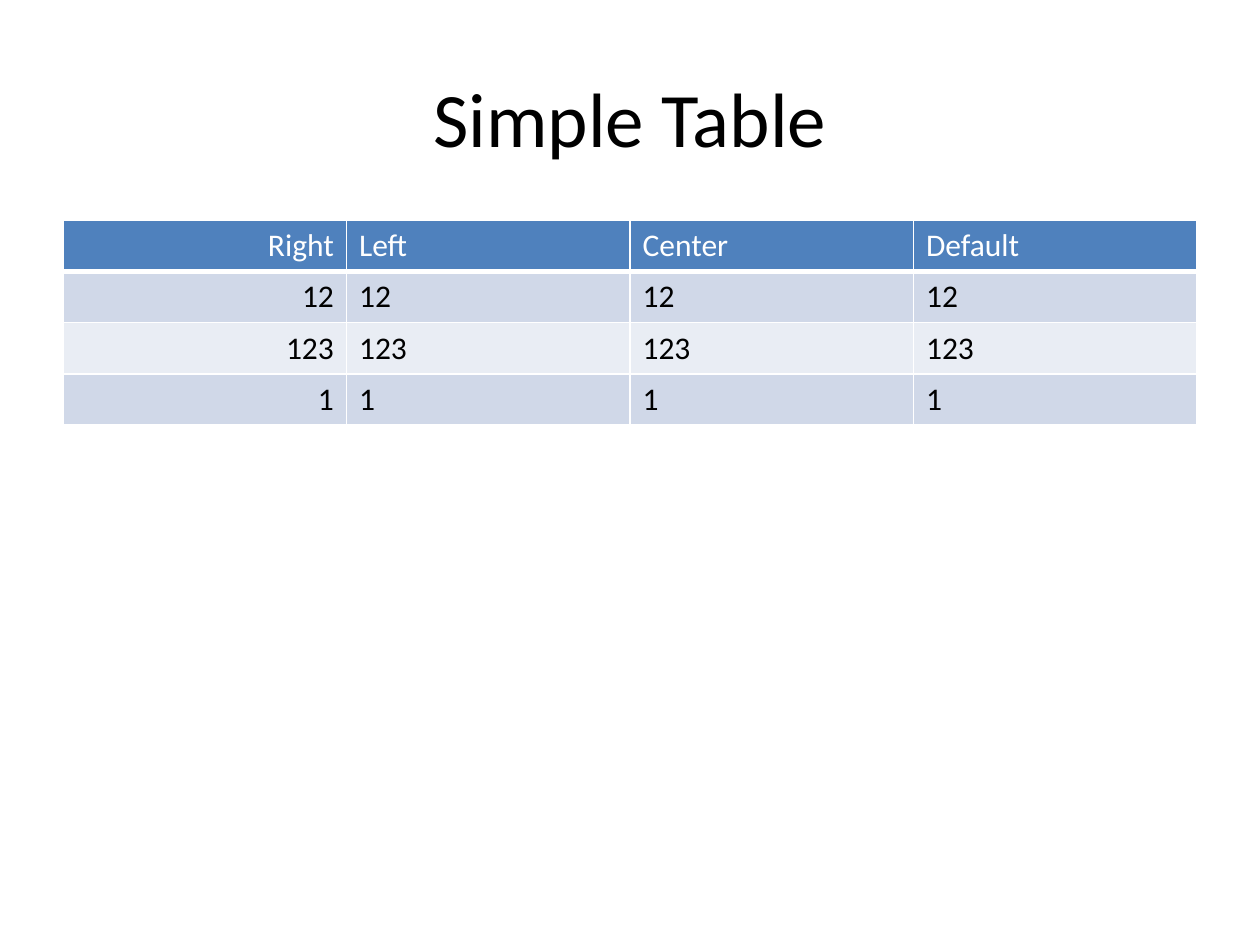
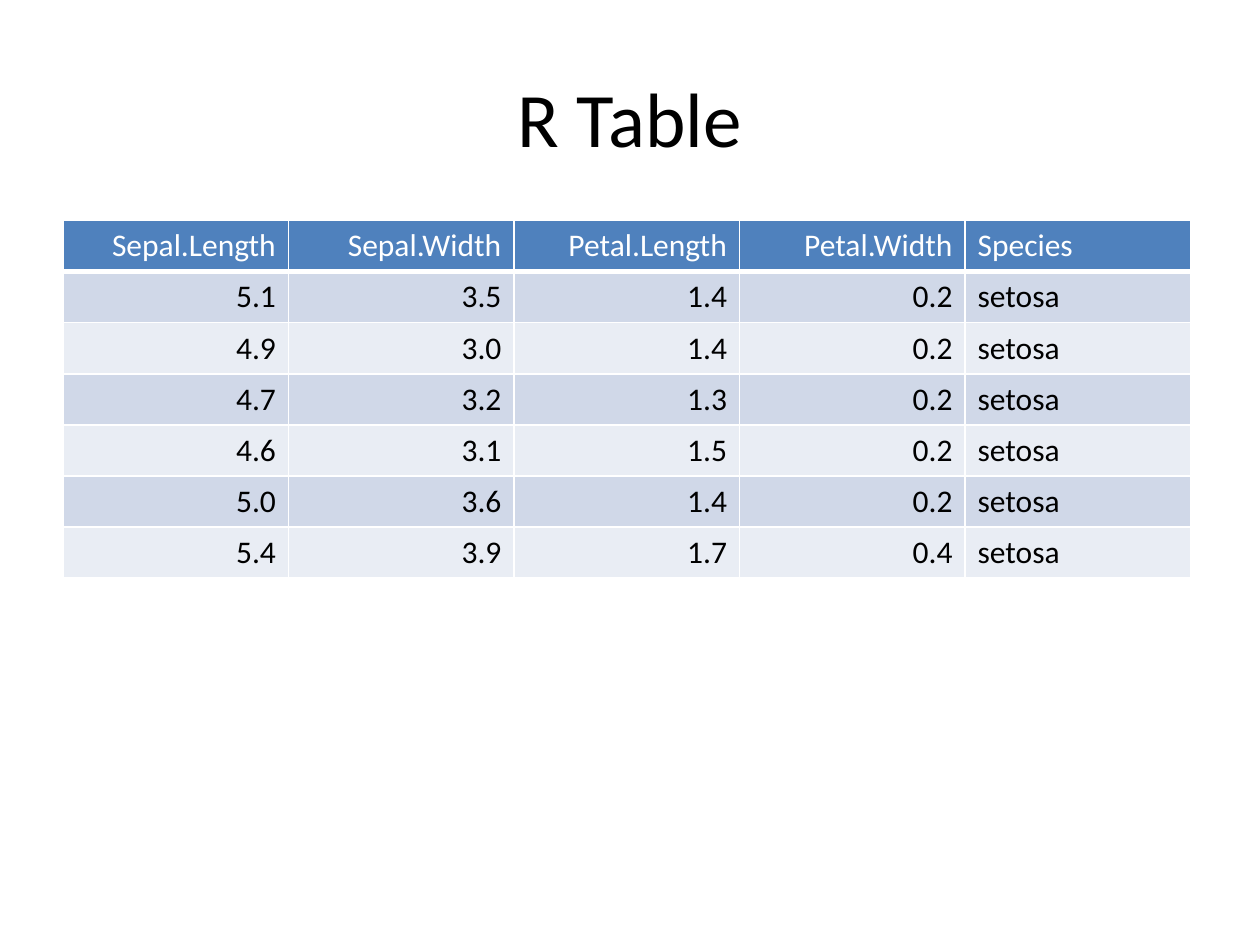
from lxml.etree import SubElement
from pptx import Presentation
from pptx.dml.color import RGBColor
from pptx.enum.text import MSO_ANCHOR, PP_ALIGN
from pptx.oxml.ns import qn
from pptx.util import Inches, Pt

FONT = "Calibri"
BLACK = "000000"
WHITE = "FFFFFF"
HEADER_BLUE = "4F81BD"
BANDS = ("D0D8E8", "E9EDF4")
TITLE_ONLY = 5
ROW_HEIGHT = 0.4

SIMPLE_ROWS = [
    ("Right", "Left", "Center", "Default"),
    ("12",) * 4,
    ("123",) * 4,
    ("1",) * 4,
]
IRIS_ROWS = [
    ("Sepal.Length", "Sepal.Width", "Petal.Length", "Petal.Width", "Species"),
    ("5.1", "3.5", "1.4", "0.2", "setosa"),
    ("4.9", "3.0", "1.4", "0.2", "setosa"),
    ("4.7", "3.2", "1.3", "0.2", "setosa"),
    ("4.6", "3.1", "1.5", "0.2", "setosa"),
    ("5.0", "3.6", "1.4", "0.2", "setosa"),
    ("5.4", "3.9", "1.7", "0.4", "setosa"),
]


def color(value):
    return RGBColor.from_string(value)


def write(frame, text, size=18, ink=BLACK, align=PP_ALIGN.LEFT):
    paragraph = frame.paragraphs[0]
    paragraph.alignment = align
    run = paragraph.add_run()
    run.text = text
    run.font.name = FONT
    run.font.size = Pt(size)
    run.font.bold = False
    run.font.color.rgb = color(ink)


def set_borders(cell, bottom_width):
    properties = cell._tc.get_or_add_tcPr()
    widths = {"a:lnL": 1, "a:lnR": 1, "a:lnT": 1, "a:lnB": bottom_width}
    for position, (side, width) in enumerate(widths.items()):
        border = SubElement(properties, qn(side), w=str(Pt(width)))
        fill = SubElement(border, qn("a:solidFill"))
        SubElement(fill, qn("a:srgbClr"), val=WHITE)
        properties.insert(position, border)


def add_titled_slide(deck, heading):
    slide = deck.slides.add_slide(deck.slide_layouts[TITLE_ONLY])
    title = slide.shapes.title
    title.left, title.top = Inches(0.5), Inches(0.3)
    title.width, title.height = Inches(9), Inches(1.25)
    title.text_frame.vertical_anchor = MSO_ANCHOR.MIDDLE
    write(title.text_frame, heading, size=44, align=PP_ALIGN.CENTER)
    return slide


def add_data_table(slide, rows, column_width, right_columns):
    column_count = len(rows[0])
    table = slide.shapes.add_table(
        len(rows), column_count, Inches(0.5), Inches(1.75),
        Inches(column_width * column_count), Inches(ROW_HEIGHT * len(rows)),
    ).table
    for column in table.columns:
        column.width = Inches(column_width)
    for row_index, values in enumerate(rows):
        is_header = row_index == 0
        background = HEADER_BLUE if is_header else BANDS[(row_index - 1) % 2]
        for column_index, value in enumerate(values):
            cell = table.cell(row_index, column_index)
            cell.fill.solid()
            cell.fill.fore_color.rgb = color(background)
            set_borders(cell, bottom_width=3 if is_header else 1)
            write(
                cell.text_frame, value,
                ink=WHITE if is_header else BLACK,
                align=PP_ALIGN.RIGHT if column_index < right_columns else PP_ALIGN.LEFT,
            )


def main():
    deck = Presentation()
    deck.slide_width, deck.slide_height = Inches(10), Inches(7.5)
    simple_slide = add_titled_slide(deck, "Simple Table")
    add_data_table(simple_slide, SIMPLE_ROWS, column_width=2.25, right_columns=1)
    iris_slide = add_titled_slide(deck, "R Table")
    add_data_table(iris_slide, IRIS_ROWS, column_width=1.79, right_columns=4)
    deck.save("out.pptx")


if __name__ == "__main__":
    main()
